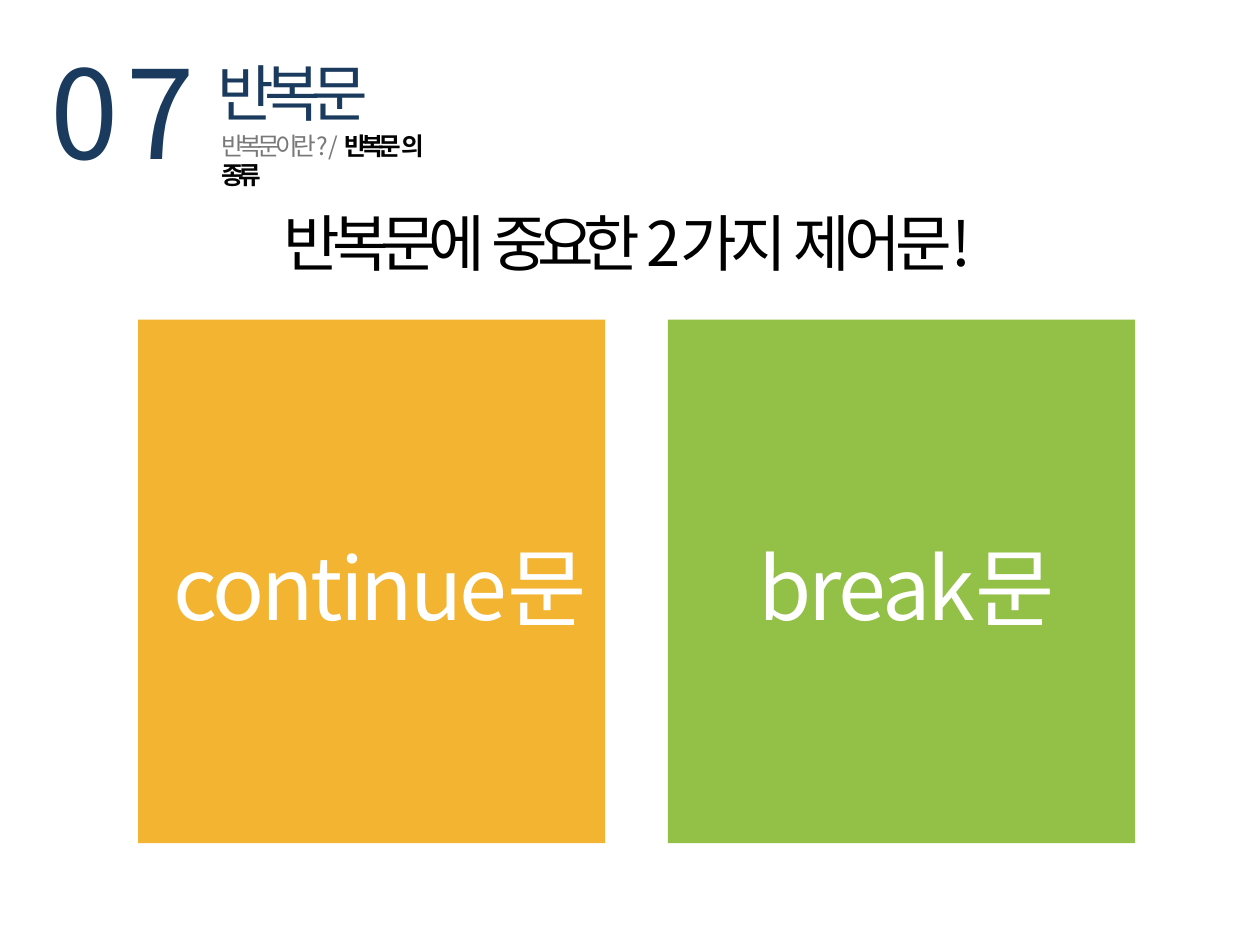
from lxml import etree
from pptx import Presentation
from pptx.dml.color import RGBColor
from pptx.enum import shapes, text
from pptx.oxml.ns import qn
from pptx.util import Cm, Pt

FONT = "Noto Sans CJK KR"
NAVY = RGBColor(0x1A, 0x3A, 0x5E)
GREY = RGBColor(0x79, 0x79, 0x79)
BLACK = RGBColor(0, 0, 0)
NEAR_BLACK = RGBColor(3, 3, 3)
WHITE = RGBColor(0xFF, 0xFF, 0xFF)
ORANGE = RGBColor(0xF3, 0xB4, 0x31)
GREEN = RGBColor(0x93, 0xC0, 0x46)


def add_span(para, words, size, color, spacing, bold=False):
    """Add one run with its font, colour and letter spacing in points."""
    span = para.add_run()
    span.text = words
    span.font.size = Pt(size)
    span.font.bold = bold
    span.font.name = FONT
    span.font.color.rgb = color
    props = span._r.get_or_add_rPr()
    props.set("spc", str(round(spacing * 100)))
    etree.SubElement(props, qn("a:ea")).set("typeface", FONT)


def set_para(para, size, indent=0.0):
    """Left-align a paragraph with a line height that suits its text size."""
    para.alignment = text.PP_ALIGN.LEFT
    para.line_spacing = Pt(size * 1.2)
    para._p.get_or_add_pPr().set("marL", str(Cm(indent)))


def set_frame(shape, top=0.0, left=0.0, right=0.0):
    """Wrap text from the top of a shape with the given insets."""
    frame = shape.text_frame
    frame.word_wrap = True
    frame.auto_size = text.MSO_AUTO_SIZE.NONE
    frame.vertical_anchor = text.MSO_ANCHOR.TOP
    frame.margin_top, frame.margin_left = Cm(top), Cm(left)
    frame.margin_right, frame.margin_bottom = Cm(right), 0
    return frame


def add_panel(page, left, top, width, height, color, words, indent, spacing):
    """Draw a coloured panel naming one control statement."""
    panel = page.shapes.add_shape(
        shapes.MSO_SHAPE.RECTANGLE, Cm(left), Cm(top), Cm(width), Cm(height))
    panel.shadow.inherit = False
    panel.fill.solid()
    panel.fill.fore_color.rgb = color
    panel.line.fill.background()
    para = set_frame(panel, height * 0.41, indent, 0.5).paragraphs[0]
    set_para(para, 70)
    add_span(para, words, 70, WHITE, spacing)


def add_heading(page, left, top, width, height):
    """Place the slide heading in the title placeholder."""
    title = page.shapes.title
    title.left, title.top = Cm(left), Cm(top)
    title.width, title.height = Cm(width), Cm(height)
    para = set_frame(title, 0.15).paragraphs[0]
    set_para(para, 50, 0.03)
    for words, spacing in (("반복문에 ", -6.7), ("중요한  ", -8.5),
                           ("2가지 ", -6), ("제어문!", -4.6)):
        add_span(para, words, 50, BLACK, spacing)


def add_chapter(page, left, top, width, height):
    """Place the chapter number with the chapter name and its sections."""
    number = page.shapes.add_textbox(
        Cm(left), Cm(top), Cm(4.19), Cm(height))
    para = set_frame(number, 0.3).paragraphs[0]
    set_para(para, 100, 0.03)
    add_span(para, "0", 100, NAVY, 5.9)
    add_span(para, "7", 100, NAVY, 1)

    name_left = 4.78
    name = page.shapes.add_textbox(
        Cm(left + name_left), Cm(top + 0.71),
        Cm(width - name_left), Cm(3.12))
    frame = set_frame(name, 0.13)
    para = frame.paragraphs[0]
    set_para(para, 50, 0.03)
    add_span(para, "반복문", 50, NAVY, -7.9)
    para = frame.add_paragraph()
    set_para(para, 20, 0.15)
    para.space_before = Pt(1.5)
    add_span(para, "반복문이란? ", 20, GREY, -3.8)
    add_span(para, "/ ", 20, GREY, 0.2)
    add_span(para, "반복문", 20, BLACK, -4.5, True)
    add_span(para, "의 ", 20, NEAR_BLACK, -4.5, True)
    add_span(para, "종류", 20, NEAR_BLACK, -4.6, True)


def main():
    """Build and save the slide."""
    deck = Presentation()
    deck.slide_width, deck.slide_height = Cm(36.12), Cm(27.1)
    page = deck.slides.add_slide(deck.slide_layouts.get_by_name("Title Only"))
    panels = ((ORANGE, "continue문", 1.02, -2.5), (GREEN, "break문", 2.59, -2.2))
    width, gap = 13.39, 1.8
    for index, panel in enumerate(panels):
        add_panel(page, 3.96 + index * (width + gap), 9.17, width, 15.01, *panel)
    add_heading(page, 8.1, 5.72, 21.34, 2.34)
    add_chapter(page, 1.42, 0.74, 11.64, 4.27)
    deck.save("out.pptx")


if __name__ == "__main__":
    main()
